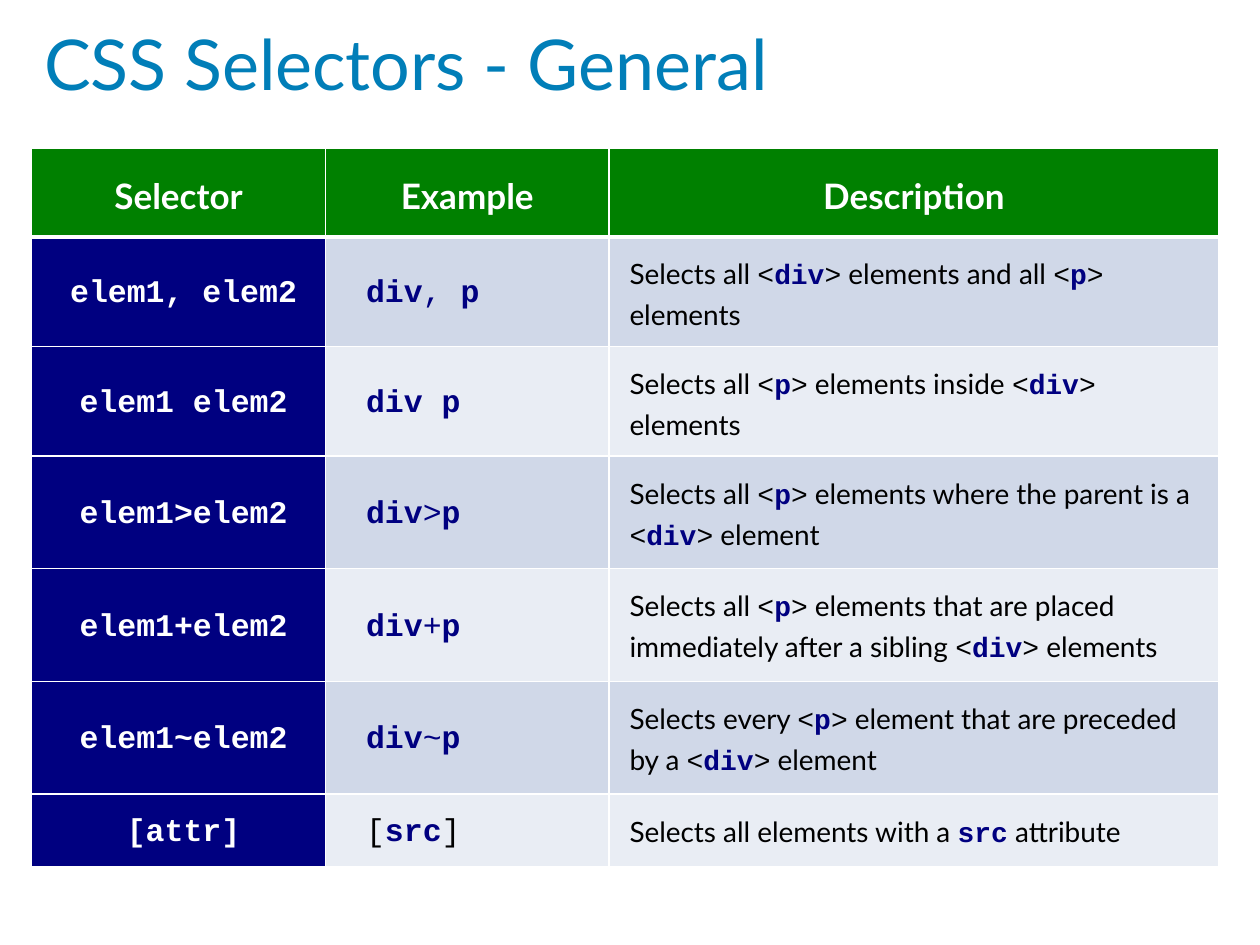
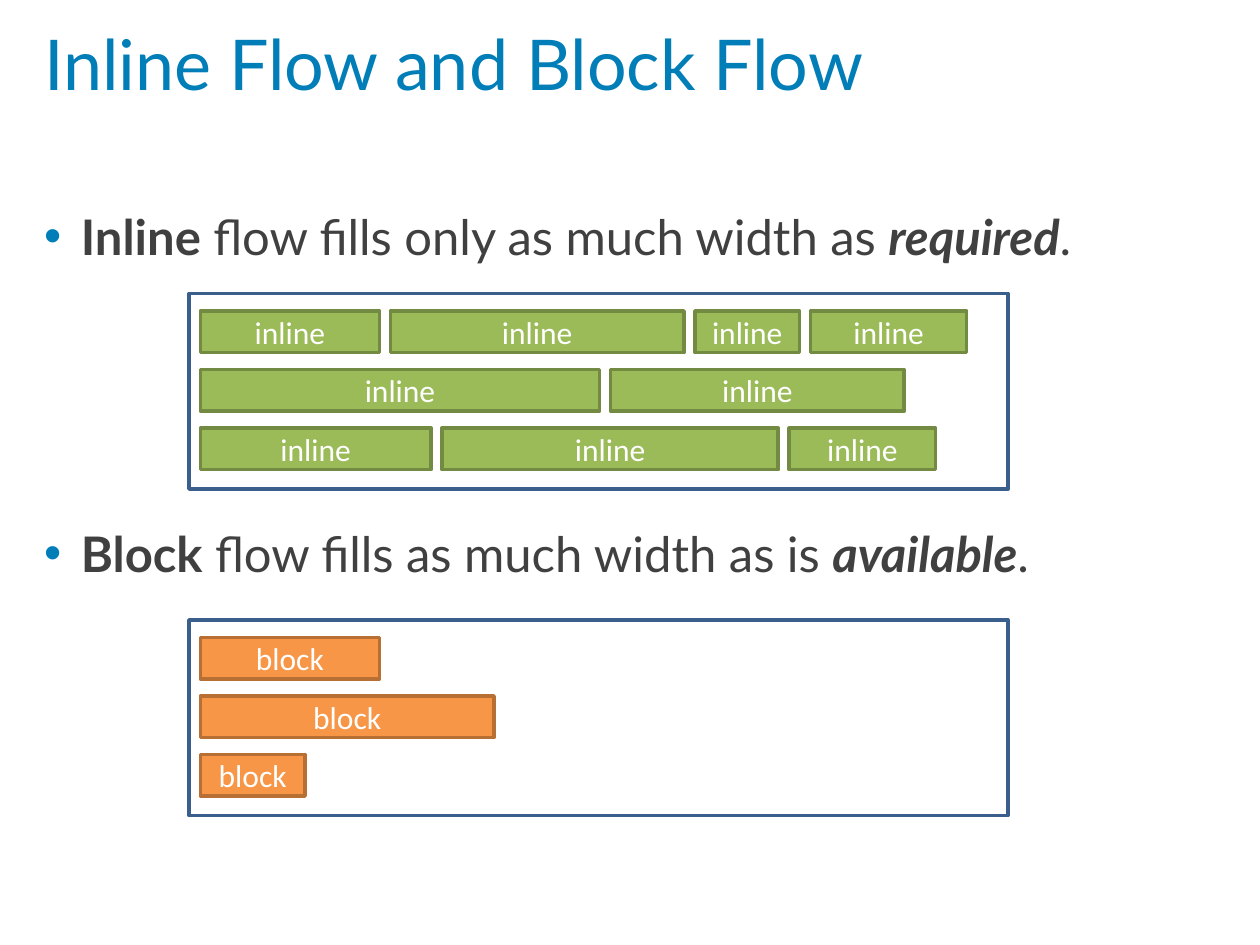
from lxml import etree
from pptx import Presentation
from pptx import util as u
from pptx.dml.color import RGBColor
from pptx.enum import shapes, text
from pptx.oxml import ns

Cm, Pt = u.Cm, u.Pt

WHITE = RGBColor(0xFF, 0xFF, 0xFF)
BLACK = RGBColor(0, 0, 0)
TITLE_BLUE = RGBColor(0x01, 0x7E, 0xB8)
BODY_GREY = RGBColor(0x40, 0x40, 0x40)
HEADER_GREEN = RGBColor(0x00, 0x80, 0x00)
NAVY = RGBColor(0x00, 0x00, 0x80)
BANDS = (RGBColor(0xD0, 0xD8, 0xE8), RGBColor(0xE9, 0xED, 0xF4))
FRAME_BLUE = RGBColor(0x3A, 0x5F, 0x8C)
INLINE_FILL = RGBColor(0x9B, 0xBB, 0x59)
INLINE_LINE = RGBColor(0x73, 0x8A, 0x42)
BLOCK_FILL = RGBColor(0xF7, 0x96, 0x46)
BLOCK_LINE = RGBColor(0xB7, 0x6F, 0x34)

LATO, MONO, CALIBRI = "Lato", "Courier New", "Calibri"
LEFT = 0.64

COL_WIDTHS = (5.92, 5.72, 12.29)
ROW_HEIGHTS = (1.75, 2.21, 2.21, 2.27, 2.27, 2.27, 1.42)
HEADERS = ("Selector", "Example", "Description")
SELECTORS = (
    ("elem1, elem2", "div|,| p",
     "Selects all |<div>| elements and all |<p>| elements"),
    ("elem1 elem2", "div p",
     "Selects all |<p>| elements inside |<div>| elements"),
    ("elem1>elem2", "div|>|p",
     "Selects all |<p>| elements where the parent is a |<div>| element"),
    ("elem1+elem2", "div|+|p",
     "Selects all |<p>| elements that are placed immediately after "
     "a sibling |<div>| elements"),
    ("elem1~elem2", "div|~|p",
     "Selects every |<p>| element that are preceded by a |<div>| element"),
    ("[attr]", "|[|src|]|",
     "Selects all elements with a |src| attribute"),
)

FLOWS = (
    ("Inline", " flow fills only as much width as ", "required"),
    ("Block", " flow fills as much width as is ", "available"),
)
INLINE_ROWS = ((3.61, 5.92, 2.11, 3.15), (8.05, 5.92), (4.65, 6.78, 2.95))
BLOCK_ROWS = ((3.61,), (5.92,), (2.11,))


def add_run(p, txt, size, font, color, bold=False, italic=False):
    if not txt:
        return
    r = p.add_run()
    r.text = txt
    f = r.font
    f.size, f.name, f.bold, f.italic = Pt(size), font, bold, italic
    f.color.rgb = color


def add_title(s, txt):
    tf = s.shapes.add_textbox(Cm(LEFT), 0, Cm(22.86), Cm(2.54)).text_frame
    tf.word_wrap = True
    tf.vertical_anchor = text.MSO_ANCHOR.MIDDLE
    add_run(tf.paragraphs[0], txt, 40, LATO, TITLE_BLUE)


def set_borders(cell, top, bottom):
    tc_pr = cell._tc.get_or_add_tcPr()
    for side, width in (("L", 1), ("R", 1), ("T", top), ("B", bottom)):
        ln = etree.SubElement(tc_pr, ns.qn(f"a:ln{side}"), w=str(Pt(width)))
        fill = etree.SubElement(ln, ns.qn("a:solidFill"))
        etree.SubElement(fill, ns.qn("a:srgbClr"), val=str(WHITE))


def style_cell(cell, fill, pad, indent=0.0, center=False, top=1, bottom=1):
    set_borders(cell, top, bottom)
    cell.fill.solid()
    cell.fill.fore_color.rgb = fill
    cell.vertical_anchor = text.MSO_ANCHOR.MIDDLE
    cell.margin_left, cell.margin_right = Cm(0.41 + indent), Cm(0.41)
    cell.margin_top = cell.margin_bottom = Cm(pad)
    p = cell.text_frame.paragraphs[0]
    p.line_spacing = 1.15
    p.alignment = text.PP_ALIGN.CENTER if center else text.PP_ALIGN.LEFT
    return p


def write_example(p, txt):
    for i, part in enumerate(txt.split("|")):
        color = BLACK if part in ("[", "]") else NAVY
        add_run(p, part, 18, MONO, color, bold=i % 2 == 0)


def write_description(p, txt):
    for i, part in enumerate(txt.split("|")):
        if i % 2 == 0:
            add_run(p, part, 16, LATO, BLACK)
            continue
        is_tag = part.startswith("<")
        add_run(p, "<" if is_tag else "", 16, MONO, BLACK)
        add_run(p, part.strip("<>"), 16, MONO, NAVY, bold=True)
        add_run(p, ">" if is_tag else "", 16, MONO, BLACK)


def add_selector_table(s):
    tbl = s.shapes.add_table(
        len(ROW_HEIGHTS), len(COL_WIDTHS), Cm(LEFT), Cm(2.98),
        Cm(sum(COL_WIDTHS)), Cm(sum(ROW_HEIGHTS))).table
    tbl.first_row = tbl.horz_banding = False
    for col, width in zip(tbl.columns, COL_WIDTHS):
        col.width = Cm(width)
    for row, height in zip(tbl.rows, ROW_HEIGHTS):
        row.height = Cm(height)
    for c, header in enumerate(HEADERS):
        p = style_cell(tbl.cell(0, c), HEADER_GREEN, 0.41, center=True, bottom=3)
        add_run(p, header, 20, LATO, WHITE, bold=True)
    for i, (selector, example, description) in enumerate(SELECTORS):
        name_cell, example_cell, text_cell = tbl.rows[i + 1].cells
        top, band = 3 if i == 0 else 1, BANDS[i % 2]
        p = style_cell(name_cell, NAVY, 0.3, 0.2, center=True, top=top)
        add_run(p, selector, 18, MONO, WHITE, bold=True)
        write_example(style_cell(example_cell, band, 0.3, 0.41, top=top), example)
        write_description(style_cell(text_cell, band, 0.3, top=top), description)


def set_bullet(p):
    p_pr = p._p.get_or_add_pPr()
    p_pr.set("marL", str(Cm(0.74)))
    p_pr.set("indent", str(-Cm(0.74)))
    color = etree.SubElement(p_pr, ns.qn("a:buClr"))
    etree.SubElement(color, ns.qn("a:srgbClr"), val=str(TITLE_BLUE))
    etree.SubElement(p_pr, ns.qn("a:buFont"), typeface="Arial")
    etree.SubElement(p_pr, ns.qn("a:buChar"), char="•")


def add_flow_bullets(s):
    tf = s.shapes.add_textbox(Cm(LEFT), Cm(4.03), Cm(22.86), Cm(12.57)).text_frame
    tf.word_wrap = True
    for i, (name, middle, ending) in enumerate(FLOWS):
        p = tf.add_paragraph() if i else tf.paragraphs[0]
        p.space_before = Pt(147.5 if i else 0)
        set_bullet(p)
        add_run(p, name, 28, LATO, BODY_GREY, bold=True)
        add_run(p, middle, 28, LATO, BODY_GREY)
        add_run(p, ending, 28, LATO, BODY_GREY, bold=True, italic=True)
        add_run(p, ".", 28, LATO, BODY_GREY)


def add_box(grp, x, y, w, h, fill, line, label=""):
    sp = grp.shapes.add_shape(
        shapes.MSO_SHAPE.RECTANGLE, Cm(x), Cm(y), Cm(w), Cm(h))
    sp.shadow.inherit = False
    sp.fill.solid()
    sp.fill.fore_color.rgb = fill
    sp.line.color.rgb = line
    sp.line.width = Pt(2)
    if label:
        tf = sp.text_frame
        tf.vertical_anchor = text.MSO_ANCHOR.MIDDLE
        p = tf.paragraphs[0]
        p.alignment = text.PP_ALIGN.CENTER
        add_run(p, label, 18, CALIBRI, WHITE)


def add_flow_diagram(s, top, rows, label, fill, line):
    grp = s.shapes.add_group_shape()
    add_box(grp, 3.81, top, 16.51, 3.94, WHITE, FRAME_BLUE)
    for i, widths in enumerate(rows):
        x = 4.04
        for w in widths:
            add_box(grp, x, top + 0.35 + 1.18 * i, w, 0.84, fill, line, label)
            x += w + 0.22


def main():
    prs = Presentation()
    prs.slide_width, prs.slide_height = Cm(25.4), Cm(19.05)
    blank = prs.slide_layouts[6]

    s = prs.slides.add_slide(blank)
    add_title(s, "CSS Selectors - General")
    add_selector_table(s)

    s = prs.slides.add_slide(blank)
    add_title(s, "Inline Flow and Block Flow")
    add_flow_bullets(s)
    add_flow_diagram(s, 5.92, INLINE_ROWS, "inline", INLINE_FILL, INLINE_LINE)
    add_flow_diagram(s, 12.5, BLOCK_ROWS, "block", BLOCK_FILL, BLOCK_LINE)

    prs.save("out.pptx")


if __name__ == "__main__":
    main()
